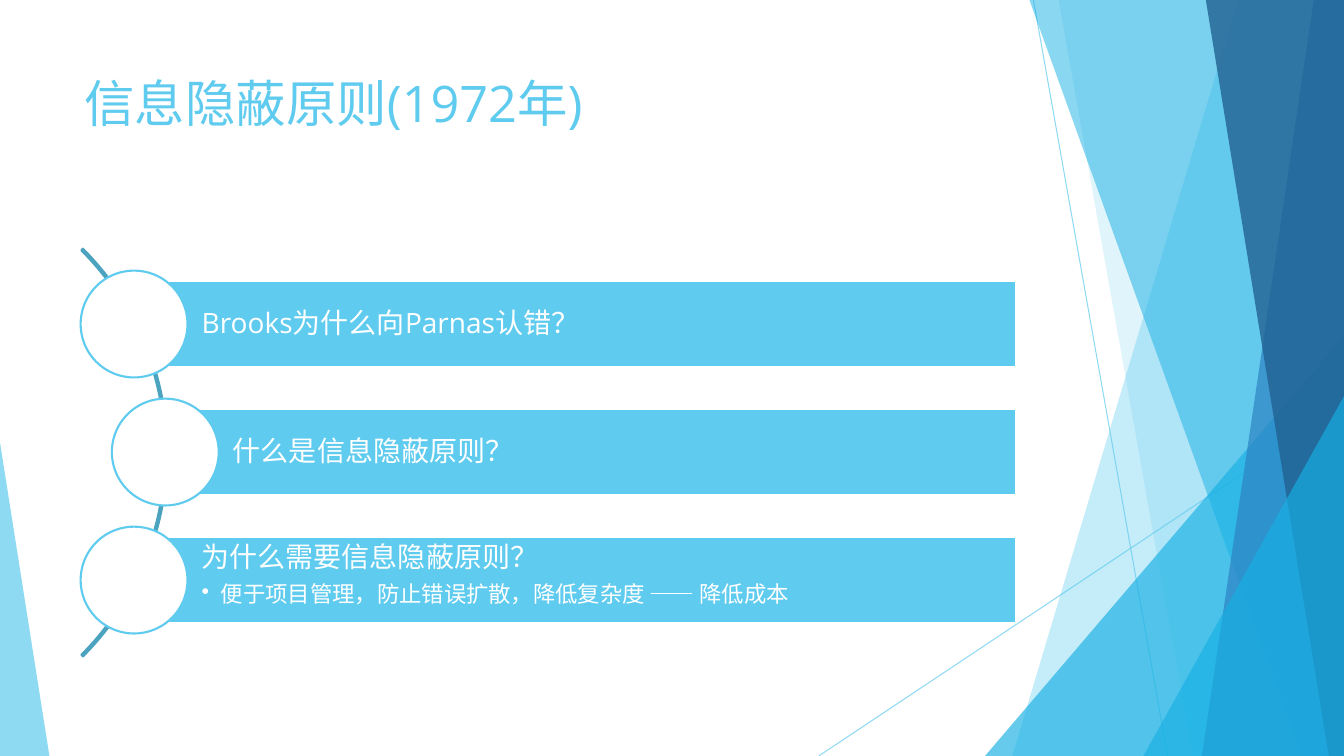
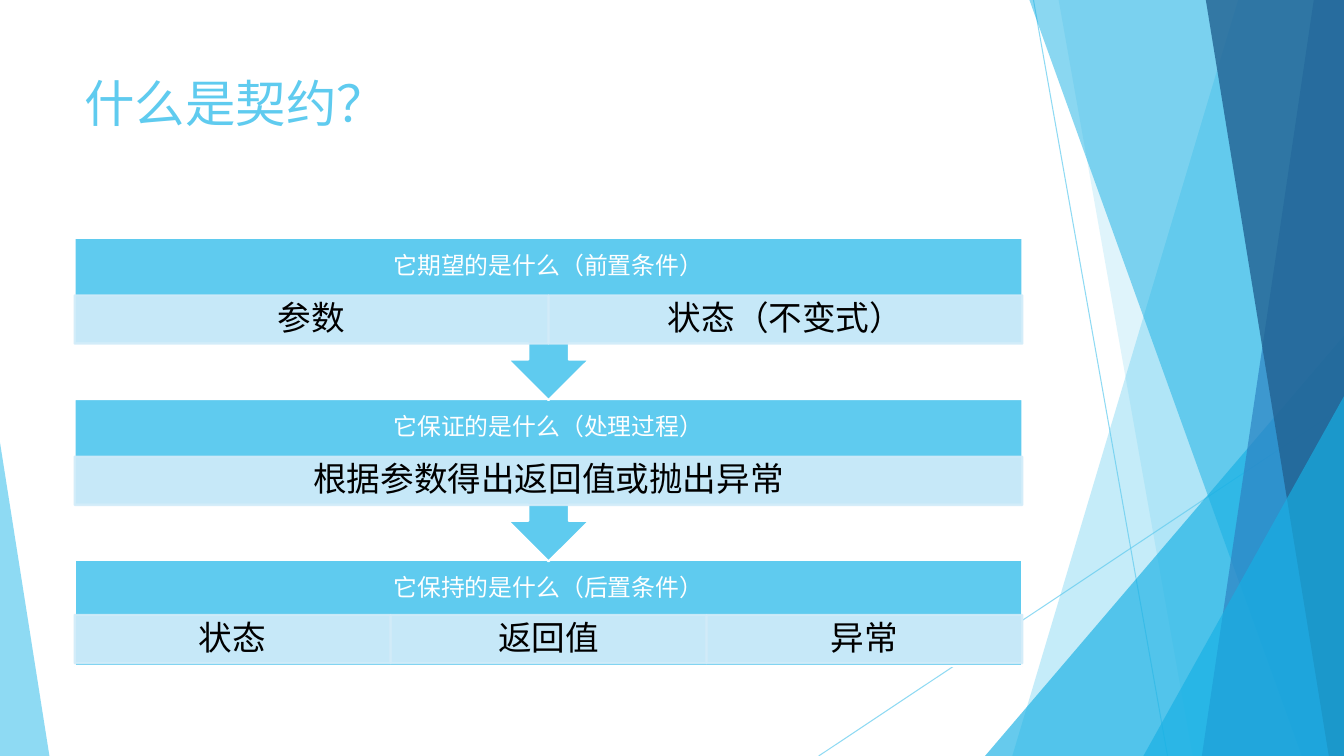
import dataclasses
import pptx
import pptx.dml.color
import pptx.enum.shapes
import pptx.enum.text
import pptx.oxml
import pptx.oxml.ns
import pptx.oxml.xmlchemy
import pptx.util

Inches = pptx.util.Inches
Pt = pptx.util.Pt
MSO = pptx.enum.shapes.MSO_SHAPE
ALIGN = pptx.enum.text.PP_ALIGN
ANCHOR = pptx.enum.text.MSO_ANCHOR
qn = pptx.oxml.ns.qn
element = pptx.oxml.xmlchemy.OxmlElement


@dataclasses.dataclass(frozen=True)
class Theme:
    font: str = "Open Sans"
    sky: str = "5FCBEF"
    cyan: str = "17B0E4"
    blue: str = "2E83C3"
    navy: str = "226292"
    arc: str = "4CA3BF"
    pale: str = "D2ECF9"
    white: str = "FFFFFF"
    black: str = "000000"
    title: int = 36
    cell: int = 24
    bar: int = 20
    header: int = 17
    bullet: int = 16
    outline: float = 1.5
    hairline: float = 0.75


def rgb(value):
    return pptx.dml.color.RGBColor.from_string(value)


def set_alpha(sp, percent):
    for clr in sp._element.spPr.iter(qn("a:srgbClr")):
        alpha = element("a:alpha")
        alpha.set("val", str(percent * 1000))
        clr.append(alpha)


def write(tf, text, size, color, font=Theme.font, align=ALIGN.LEFT, spacing=None,
          after=0, bullet=None, indent=0, new=False):
    p = tf.add_paragraph() if new else tf.paragraphs[0]
    p.alignment = align
    p.line_spacing = spacing
    p.space_after = Pt(after)
    if bullet:
        pPr = p._p.get_or_add_pPr()
        pPr.set("marL", str(Inches(indent)))
        pPr.set("indent", str(-Inches(indent)))
        bu = element("a:buChar")
        bu.set("char", bullet)
        pPr.append(bu)
    r = p.add_run()
    r.text = text
    r.font.size = Pt(size)
    r.font.name = font
    r.font.color.rgb = rgb(color)


class Deck:
    def __init__(self, prs, theme):
        self.prs = prs
        self.theme = theme
        self.s = None

    def slide(self, title):
        self.s = self.prs.slides.add_slide(self.prs.slide_layouts[6])
        self.backdrop()
        tf = self.frame(self.box(0.74, 0.67, 9.4, 1.44), (0.1, 0.05), ANCHOR.TOP)
        write(tf, title, self.theme.title, self.theme.sky)

    def backdrop(self):
        t = self.theme
        self.line((10.25, 0), (11.58, 7.5))
        self.line((13.33, 4.03), (8.12, 7.5))
        self.facet(12.28, 10.04, t.sky, 36)
        self.facet(10.5, 11.83, t.sky, 20)
        self.triangle(9.77, 3.33, 3.56, 4.17, t.cyan, 66)
        self.facet(10.21, 12.91, t.cyan, 50)
        self.facet(13.03, 11.92, t.blue, 70)
        self.facet(11.96, 13.18, t.navy, 80)
        self.triangle(11.34, 3.93, 1.99, 3.57, t.cyan, 66)
        self.triangle(0, 4.39, 0.49, 3.11, t.sky, 70, tip=0)

    def line(self, start, end):
        ends = [Inches(v) for v in start + end]
        c = self.s.shapes.add_connector(pptx.enum.shapes.MSO_CONNECTOR.STRAIGHT, *ends)
        c.line.color.rgb = rgb(self.theme.sky)
        c.line.width = Pt(self.theme.hairline)
        set_alpha(c, 70)
        c._element.spPr.append(element("a:effectLst"))

    def facet(self, top_x, bottom_x, fill, alpha):
        outline = [(top_x, 0), (13.33, 0), (13.33, 7.5), (bottom_x, 7.5)]
        points = [(Inches(x), Inches(y)) for x, y in outline]
        builder = self.s.shapes.build_freeform(*points[0], scale=1.0)
        builder.add_line_segments(points[1:], close=True)
        self.paint(builder.convert_to_shape(), fill, alpha=alpha)

    def triangle(self, x, y, w, h, fill, alpha, tip=1):
        sp = self.shape(MSO.ISOSCELES_TRIANGLE, x, y, w, h, fill, alpha=alpha)
        sp.adjustments[0] = tip

    def paint(self, sp, fill=None, line=None, alpha=None):
        sp.shadow.inherit = False
        if fill:
            sp.fill.solid()
            sp.fill.fore_color.rgb = rgb(fill)
        else:
            sp.fill.background()
        if line:
            sp.line.color.rgb = rgb(line)
            sp.line.width = Pt(self.theme.outline)
        else:
            sp.line.fill.background()
        if alpha is not None:
            set_alpha(sp, alpha)
        return sp

    def shape(self, kind, x, y, w, h, fill=None, line=None, alpha=None):
        sp = self.s.shapes.add_shape(kind, Inches(x), Inches(y), Inches(w), Inches(h))
        return self.paint(sp, fill, line, alpha)

    def box(self, x, y, w, h):
        return self.s.shapes.add_textbox(Inches(x), Inches(y), Inches(w), Inches(h))

    def frame(self, sp, inset, anchor=ANCHOR.MIDDLE, left=None):
        tf = sp.text_frame
        tf.word_wrap = True
        tf.vertical_anchor = anchor
        tf.margin_right = Inches(inset[0])
        tf.margin_left = Inches(inset[0] if left is None else left)
        tf.margin_top = tf.margin_bottom = Inches(inset[1])
        return tf

    def arc(self, x, y, size):
        sp = self.shape(MSO.BLOCK_ARC, x, y, size, size, line=self.theme.arc)
        for i, value in enumerate((189, 27, 0.004)):
            sp.adjustments[i] = value

    def bar(self, x, y, text, detail=None):
        t = self.theme
        right, h, d = 10.08, 0.85, 1.06
        sp = self.shape(MSO.RECTANGLE, x, y, right - x, h, t.sky, t.white)
        anchor = ANCHOR.TOP if detail else ANCHOR.MIDDLE
        tf = self.frame(sp, (0.06, 0.06), anchor, left=0.67)
        write(tf, text, t.bar, t.white, spacing=0.9, after=0.35 * t.bar)
        if detail:
            write(tf, detail, t.bullet, t.white, spacing=0.9, after=0.15 * t.bullet,
                  bullet="•", indent=0.19, new=True)
        self.shape(MSO.OVAL, x - d / 2, y + (h - d) / 2, d, d, t.white, t.sky)

    def stage(self, y, header, cells, last):
        t = self.theme
        x, w = 0.74, 9.4
        if last:
            self.shape(MSO.RECTANGLE, x, y, w, 1.05, t.sky, t.white)
        else:
            sp = self.shape(MSO.UP_ARROW_CALLOUT, x, y, w, 1.61, t.sky, t.white)
            sp.rotation = 180
        tf = self.frame(self.box(x, y, w, 0.57), (0.13, 0.13))
        write(tf, header, t.header, t.white, align=ALIGN.CENTER, spacing=0.9,
              after=0.35 * t.header)
        cell_w = w / len(cells)
        cell_y = y + (0.54 if last else 0.57)
        for i, text in enumerate(cells):
            sp = self.shape(MSO.RECTANGLE, x + i * cell_w, cell_y, cell_w, 0.48,
                            t.pale, t.pale, alpha=90)
            tf = self.frame(sp, (0.19, 0.03))
            write(tf, text, t.cell, t.black, align=ALIGN.CENTER, spacing=0.9,
                  after=0.35 * t.cell)


prs = pptx.Presentation()
prs.slide_width = Inches(13.33)
prs.slide_height = Inches(7.5)
deck = Deck(prs, Theme())

deck.slide("信息隐蔽原则(1972年)")
deck.arc(-4.06, 1.63, 5.72)
questions = [
    (1.33, "Brooks为什么向Parnas认错？", None),
    (1.64, "什么是信息隐蔽原则？", None),
    (1.33, "为什么需要信息隐蔽原则？",
     "便于项目管理，防止错误扩散，降低复杂度 —— 降低成本"),
]
for i, (x, question, detail) in enumerate(questions):
    deck.bar(x, 2.79 + 1.27 * i, question, detail)

deck.slide("什么是契约？")
stages = [
    ("它期望的是什么（前置条件）", ["参数", "状态（不变式）"]),
    ("它保证的是什么（处理过程）", ["根据参数得出返回值或抛出异常"]),
    ("它保持的是什么（后置条件）", ["状态", "返回值", "异常"]),
]
for i, (header, cells) in reversed(list(enumerate(stages))):
    deck.stage(2.36 + 1.6 * i, header, cells, last=i == len(stages) - 1)

prs.save("out.pptx")
